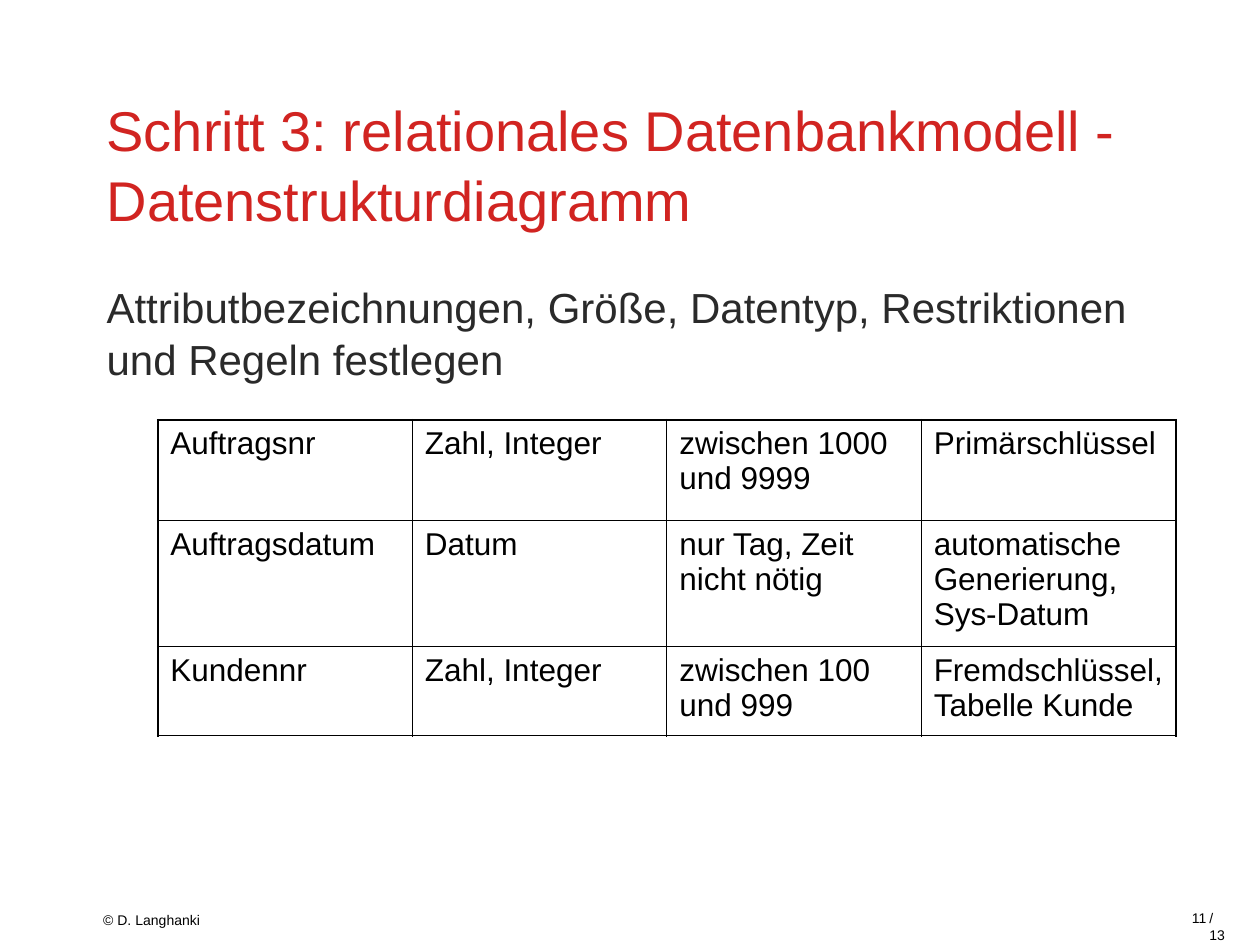
from lxml import etree
from pptx import Presentation
from pptx.dml.color import RGBColor
from pptx.enum.text import MSO_ANCHOR, PP_ALIGN
from pptx.oxml.ns import qn
from pptx.util import Cm, Pt

TOP, MIDDLE = MSO_ANCHOR.TOP, MSO_ANCHOR.MIDDLE
LEFT, RIGHT = PP_ALIGN.LEFT, PP_ALIGN.RIGHT
BLACK = RGBColor(0x00, 0x00, 0x00)
RED = RGBColor(0xD1, 0x24, 0x21)
GRAY = RGBColor(0x2A, 0x2A, 0x2A)
FONT = "Arial"
THIN, THICK = Pt(0.45), Pt(1.08)

ROWS = [
    ("Auftragsnr", "Zahl, Integer", "zwischen 1000 und 9999", "Primärschlüssel"),
    ("Auftragsdatum", "Datum", "nur Tag, Zeit nicht nötig",
     "automatische Generierung, Sys-Datum"),
    ("Kundennr", "Zahl, Integer", "zwischen 100 und 999",
     "Fremdschlüssel, Tabelle Kunde"),
]
ROW_HEIGHTS = [Cm(2.03), Cm(2.54), Cm(1.8)]


def style_paragraph(p, size, color, align=LEFT):
    p.alignment = align
    p.font.name = FONT
    p.font.size = Pt(size)
    p.font.color.rgb = color


def add_text(slide, box, text, size, color, anchor=TOP, align=LEFT, wrap=True, spacing=None):
    tf = slide.shapes.add_textbox(*box).text_frame
    tf.word_wrap = wrap
    tf.vertical_anchor = anchor
    p = tf.paragraphs[0]
    p.text = text
    p.line_spacing = spacing
    style_paragraph(p, size, color, align)


def add_heading(slide, left, top, width):
    add_text(slide, (left, top, width, Cm(3.18)),
             "Schritt 3: relationales Datenbankmodell - Datenstrukturdiagramm",
             32, RED, anchor=MIDDLE, spacing=1.04)
    add_text(slide, (left, top + Cm(3.81), width, Cm(11.43)),
             "Attributbezeichnungen, Größe, Datentyp, Restriktionen und Regeln festlegen",
             24, GRAY, spacing=1.04)


def set_borders(cell, widths):
    tc_pr = cell._tc.get_or_add_tcPr()
    for i, (tag, width) in enumerate(widths.items()):
        ln = etree.Element(qn(f"a:{tag}"), w=str(int(width)))
        fill = etree.SubElement(ln, qn("a:solidFill"))
        etree.SubElement(fill, qn("a:srgbClr"), val=str(BLACK))
        tc_pr.insert(i, ln)


def add_attribute_table(slide, left, top, width):
    last_row, last_col = len(ROWS) - 1, len(ROWS[0]) - 1
    table = slide.shapes.add_table(
        len(ROWS), len(ROWS[0]), left, top, width, sum(ROW_HEIGHTS)).table
    table.first_row = False
    table.horz_banding = False
    for r, texts in enumerate(ROWS):
        table.rows[r].height = ROW_HEIGHTS[r]
        for c, text in enumerate(texts):
            cell = table.cell(r, c)
            cell.fill.background()
            p = cell.text_frame.paragraphs[0]
            p.text = text
            style_paragraph(p, 18, BLACK)
            set_borders(cell, {
                "lnL": THICK if c == 0 else THIN,
                "lnR": THICK if c == last_col else THIN,
                "lnT": THICK if r == 0 else THIN,
                "lnB": THICK if r == last_row else THIN,
            })


def add_footer(slide, left, top):
    add_text(slide, (left, top + Cm(0.05), Cm(2.46), Cm(0.61)),
             "© D. Langhanki", 8, BLACK, wrap=False)
    add_text(slide, (left + Cm(22.3), top, Cm(0.89), Cm(0.61)),
             "/13", 8, BLACK, wrap=False)
    add_text(slide, (left + Cm(21.67), top, Cm(1.07), Cm(0.84)),
             "11", 8, BLACK, align=RIGHT)


def main():
    prs = Presentation()
    prs.slide_width, prs.slide_height = Cm(25.4), Cm(19.05)
    slide = prs.slides.add_slide(prs.slide_layouts[6])
    add_footer(slide, Cm(1.83), Cm(18.21))
    add_heading(slide, Cm(1.9), Cm(1.7), Cm(21.59))
    add_attribute_table(slide, Cm(3.18), Cm(8.46), Cm(20.52))
    prs.save("out.pptx")


if __name__ == "__main__":
    main()
